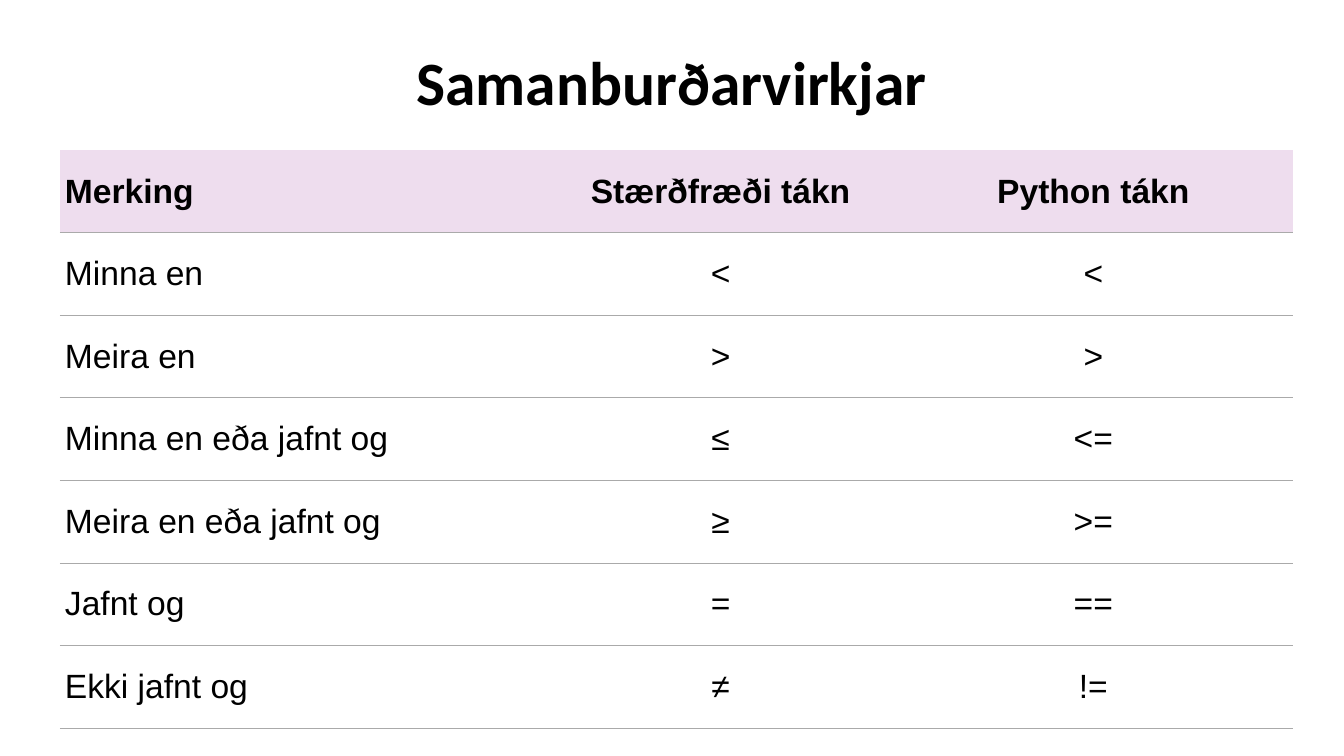
from dataclasses import dataclass

from lxml.etree import SubElement
from pptx import Presentation
from pptx.dml.color import RGBColor
from pptx.enum.text import MSO_ANCHOR, PP_ALIGN
from pptx.oxml.ns import qn
from pptx.util import Pt


@dataclass
class Theme:
    ink: str = "000000"
    paper: str = "FFFFFF"
    head: str = "EEDDEE"
    rule: str = "AAAAAA"
    title: int = 44
    body: int = 24


theme = Theme()
NO_GRID = "{2D5ABB26-0587-4C30-8999-92F81FD0307C}"


def style(para, name, size, bold, align):
    para.alignment = align
    font = para.font
    font.name, font.size, font.bold = name, Pt(size), bold
    font.color.rgb = RGBColor.from_string(theme.ink)


def underline(cell):
    """Draw a thin rule along the bottom edge of a cell."""
    props = cell._tc.get_or_add_tcPr()
    line = SubElement(props, qn("a:lnB"), w=str(Pt(0.75)))
    fill = SubElement(line, qn("a:solidFill"))
    SubElement(fill, qn("a:srgbClr"), val=theme.rule)
    props.insert(0, line)


deck = Presentation()
deck.slide_width, deck.slide_height = Pt(960), Pt(540)
slide = deck.slides.add_slide(deck.slide_layouts[6])

# Title
box = slide.shapes.add_textbox(Pt(66), Pt(28.8), Pt(828), Pt(64.8))
frame = box.text_frame
frame.word_wrap = True
frame.vertical_anchor = MSO_ANCHOR.MIDDLE
title = frame.paragraphs[0]
title.text = "Samanburðarvirkjar"
title.line_spacing = 0.9
style(title, "Calibri", theme.title, True, PP_ALIGN.CENTER)

# Table of operators
rows = [
    ("Merking", "Stærðfræði tákn", "Python tákn"),
    ("Minna en", "<", "<"),
    ("Meira en", ">", ">"),
    ("Minna en eða jafnt og", "≤", "<="),
    ("Meira en eða jafnt og", "≥", ">="),
    ("Jafnt og", "=", "=="),
    ("Ekki jafnt og", "≠", "!="),
]
widths = [348.5, 249, 283.5]
height = 59

holder = slide.shapes.add_table(
    len(rows), len(widths), Pt(42.8), Pt(107.2),
    Pt(sum(widths)), Pt(height * len(rows)))
table = holder.table
table.first_row = table.horz_banding = False
table._tbl.tblPr.find(qn("a:tableStyleId")).text = NO_GRID

for col, width in zip(table.columns, widths):
    col.width = Pt(width)

for r, texts in enumerate(rows):
    table.rows[r].height = Pt(height)
    for c, text in enumerate(texts):
        cell = table.cell(r, c)
        cell.vertical_anchor = MSO_ANCHOR.MIDDLE
        cell.margin_left, cell.margin_right = Pt(3.6), Pt(5.8)
        cell.margin_top = cell.margin_bottom = Pt(0.75)
        cell.fill.solid()
        shade = theme.paper if r else theme.head
        cell.fill.fore_color.rgb = RGBColor.from_string(shade)
        underline(cell)
        para = cell.text_frame.paragraphs[0]
        para.text = text
        align = PP_ALIGN.CENTER if c else PP_ALIGN.LEFT
        style(para, "Arial", theme.body, r == 0, align)

deck.save("out.pptx")
